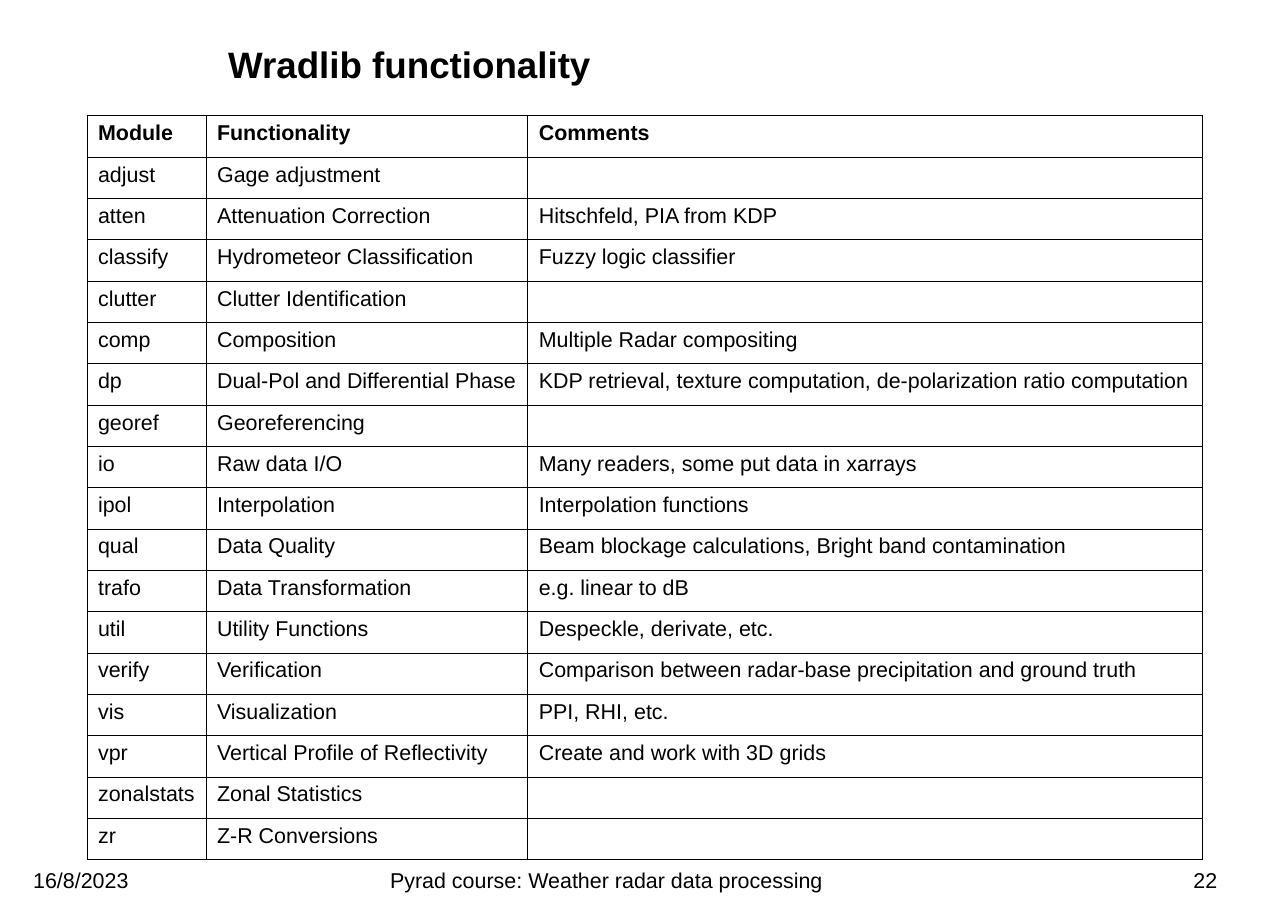
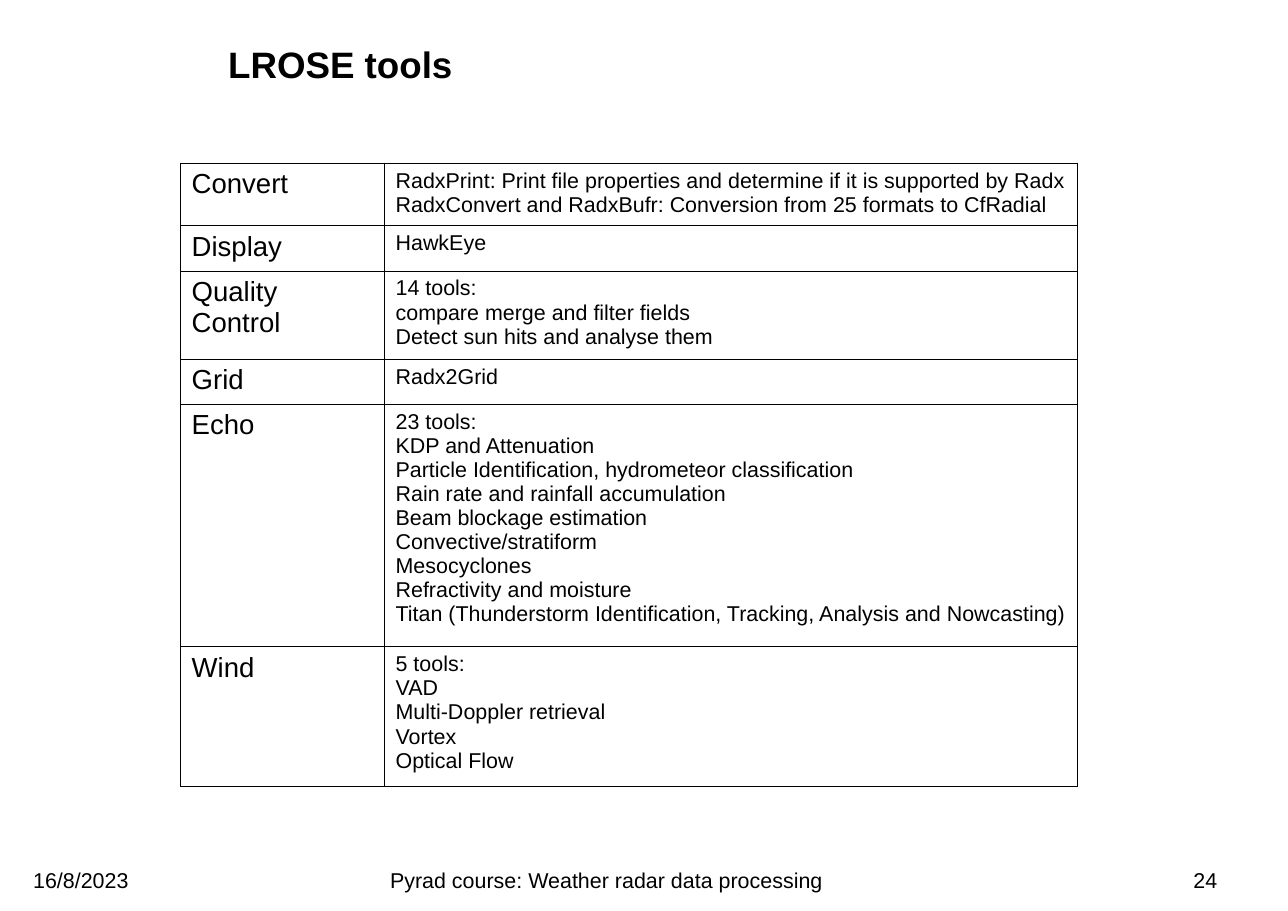
"""Build two slides of tables on weather radar software."""
from dataclasses import dataclass

from lxml import etree
from pptx import Presentation
from pptx import util as u
from pptx.dml.color import RGBColor
from pptx.enum import text
from pptx.oxml import ns


@dataclass(frozen=True)
class Theme:
    """Colours, type sizes and line widths of the deck."""
    font: str = "Arial"
    ink: str = "000000"
    paper: str = "FFFFFF"
    title: int = 24
    label: int = 18
    body: int = 14
    rule: float = 0.57


class Builder:
    """Draw elements on the current page, in hundredths of its width and height."""

    def __init__(self, theme):
        self.theme = theme
        self.deck = Presentation()
        self.deck.slide_width = u.Inches(11.69)
        self.deck.slide_height = u.Inches(8.27)
        self.page = None

    def across(self, share):
        """Return a length in hundredths of the page width."""
        return u.Emu(round(self.deck.slide_width * share / 100))

    def down(self, share):
        """Return a length in hundredths of the page height."""
        return u.Emu(round(self.deck.slide_height * share / 100))

    def add_lines(self, frame, lines, size, bold=False, align=None, spacing=None):
        """Fill a text frame with one paragraph for each line."""
        for index, line in enumerate(lines):
            para = frame.paragraphs[0] if index == 0 else frame.add_paragraph()
            para.alignment = align
            para.line_spacing = spacing
            span = para.add_run()
            span.text = line
            span.font.name = self.theme.font
            span.font.size = u.Pt(size)
            span.font.bold = bold
            span.font.color.rgb = RGBColor.from_string(self.theme.ink)

    def text_box(self, left, top, width, height, line, size, anchor=text.MSO_ANCHOR.TOP, **style):
        """Add a text box without margins."""
        box = self.page.shapes.add_textbox(
            self.across(left), self.down(top), self.across(width), self.down(height))
        frame = box.text_frame
        frame.word_wrap = True
        frame.vertical_anchor = anchor
        frame.margin_left = frame.margin_top = frame.margin_right = frame.margin_bottom = 0
        self.add_lines(frame, [line], size, **style)
        return box

    def start_page(self, title, number):
        """Add a page with its title and footer."""
        self.page = self.deck.slides.add_slide(self.deck.slide_layouts[6])
        heading = self.text_box(17.71, 3.26, 79.04, 8.1, title, self.theme.title,
                                anchor=text.MSO_ANCHOR.MIDDLE, bold=True, spacing=0.9)
        heading.fill.solid()
        heading.fill.fore_color.rgb = RGBColor.from_string(self.theme.paper)
        footer = (
            (12.75, 68.69, "Pyrad course: Weather radar data processing", text.PP_ALIGN.CENTER),
            (88.71, 9.75, str(number), text.PP_ALIGN.CENTER),
            (2.57, 23.27, "16/8/2023", text.PP_ALIGN.LEFT),
        )
        for left, width, line, align in footer:
            self.text_box(left, 95.16, width, 4.72, line, self.theme.body, align=align)

    def rule_cell(self, cell):
        """Clear the fill of a cell and draw its four borders."""
        cell.fill.background()
        properties = cell._tc.get_or_add_tcPr()
        for index, side in enumerate(("lnL", "lnR", "lnT", "lnB")):
            line = etree.Element(ns.qn(f"a:{side}"), w=str(int(u.Pt(self.theme.rule))))
            fill = etree.SubElement(line, ns.qn("a:solidFill"))
            etree.SubElement(fill, ns.qn("a:srgbClr"), val=self.theme.ink)
            properties.insert(index, line)

    def table(self, left, top, widths, heights, rows, sizes, header=False):
        """Add a ruled table; a cell holds one string or a list of lines."""
        grid = self.page.shapes.add_table(
            len(rows), len(widths), self.across(left), self.down(top),
            self.across(sum(widths)), self.down(sum(heights))).table
        grid.first_row = grid.horz_banding = False
        for column, width in zip(grid.columns, widths):
            column.width = self.across(width)
        for row, height in zip(grid.rows, heights):
            row.height = self.down(height)
        for r, entries in enumerate(rows):
            for c, (entry, size) in enumerate(zip(entries, sizes)):
                cell = grid.cell(r, c)
                self.rule_cell(cell)
                if entry:
                    lines = [entry] if isinstance(entry, str) else entry
                    self.add_lines(cell.text_frame, lines, size, bold=header and r == 0)
                else:
                    para = cell.text_frame.paragraphs[0]
                    etree.SubElement(para._p, ns.qn("a:endParaRPr"), sz=str(size * 100))


MODULES = [
    ("Module", "Functionality", "Comments"),
    ("adjust", "Gage adjustment", ""),
    ("atten", "Attenuation Correction", "Hitschfeld, PIA from KDP"),
    ("classify", "Hydrometeor Classification", "Fuzzy logic classifier"),
    ("clutter", "Clutter Identification", ""),
    ("comp", "Composition", "Multiple Radar compositing"),
    ("dp", "Dual-Pol and Differential Phase",
     "KDP retrieval, texture computation, de-polarization ratio computation"),
    ("georef", "Georeferencing", ""),
    ("io", "Raw data I/O", "Many readers, some put data in xarrays"),
    ("ipol", "Interpolation", "Interpolation functions"),
    ("qual", "Data Quality", "Beam blockage calculations, Bright band contamination"),
    ("trafo", "Data Transformation", "e.g. linear to dB"),
    ("util", "Utility Functions", "Despeckle, derivate, etc."),
    ("verify", "Verification", "Comparison between radar-base precipitation and ground truth"),
    ("vis", "Visualization", "PPI, RHI, etc."),
    ("vpr", "Vertical Profile of Reflectivity", "Create and work with 3D grids"),
    ("zonalstats", "Zonal Statistics", ""),
    ("zr", "Z-R Conversions", ""),
]

TOOLS = [
    ("Convert", ["RadxPrint: Print file properties and determine if it is supported by Radx",
                 "RadxConvert and RadxBufr: Conversion from 25 formats to CfRadial"]),
    ("Display", "HawkEye"),
    ("Quality Control", ["14 tools:", "compare merge and filter fields",
                         "Detect sun hits and analyse them"]),
    ("Grid", "Radx2Grid"),
    ("Echo", ["23 tools:", "KDP and Attenuation",
              "Particle Identification, hydrometeor classification",
              "Rain rate and rainfall accumulation", "Beam blockage estimation",
              "Convective/stratiform", "Mesocyclones", "Refractivity and moisture",
              "Titan (Thunderstorm Identification, Tracking, Analysis and Nowcasting)"]),
    ("Wind", ["5 tools:", "VAD", "Multi-Doppler retrieval", "Vortex", "Optical Flow"]),
]


def main():
    """Build and save the deck."""
    theme = Theme()
    builder = Builder(theme)

    builder.start_page("Wradlib functionality", 22)
    builder.table(6.76, 12.7, (9.24, 24.98, 52.35), [4.54] * len(MODULES), MODULES,
                  [theme.body] * 3, header=True)

    builder.start_page("LROSE tools", 24)
    builder.table(14.03, 17.9, (15.83, 53.81), (6.89, 4.96, 9.67, 4.96, 26.48, 15.36), TOOLS,
                  (theme.label, theme.body))

    builder.deck.save("out.pptx")


if __name__ == "__main__":
    main()
